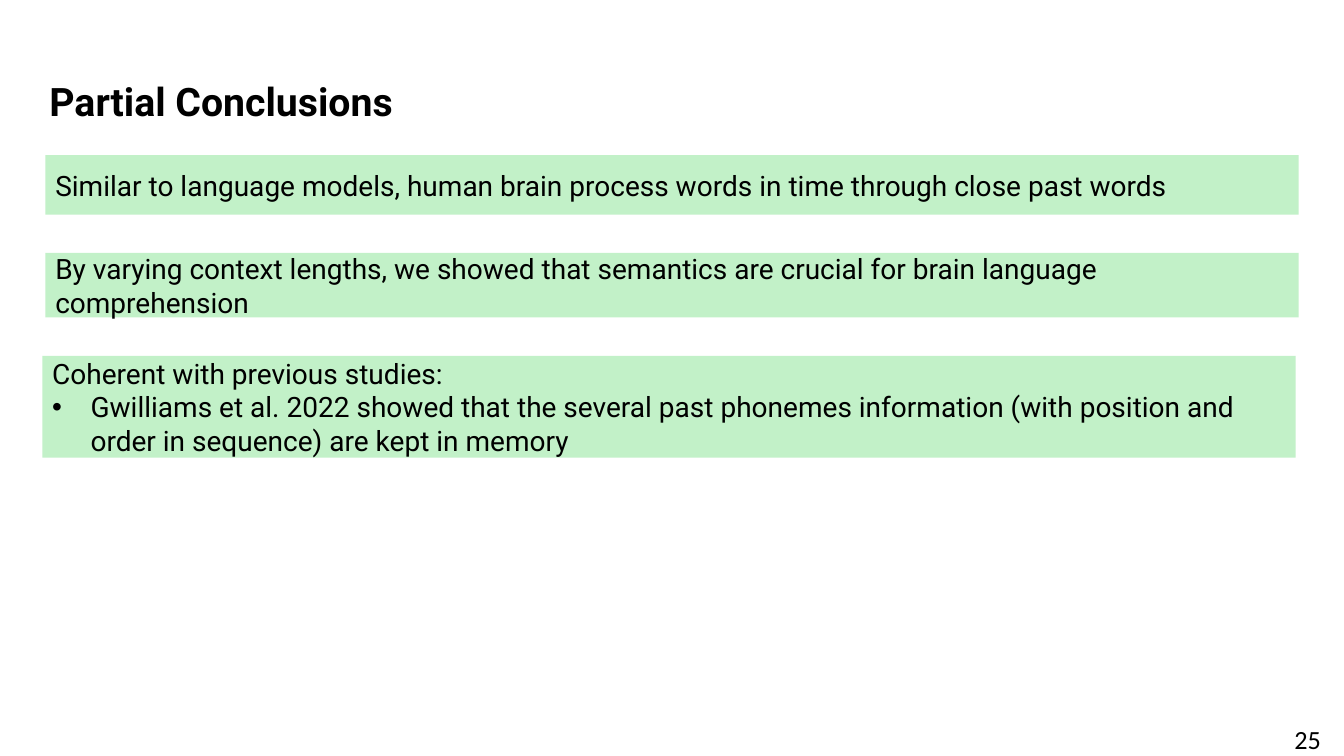
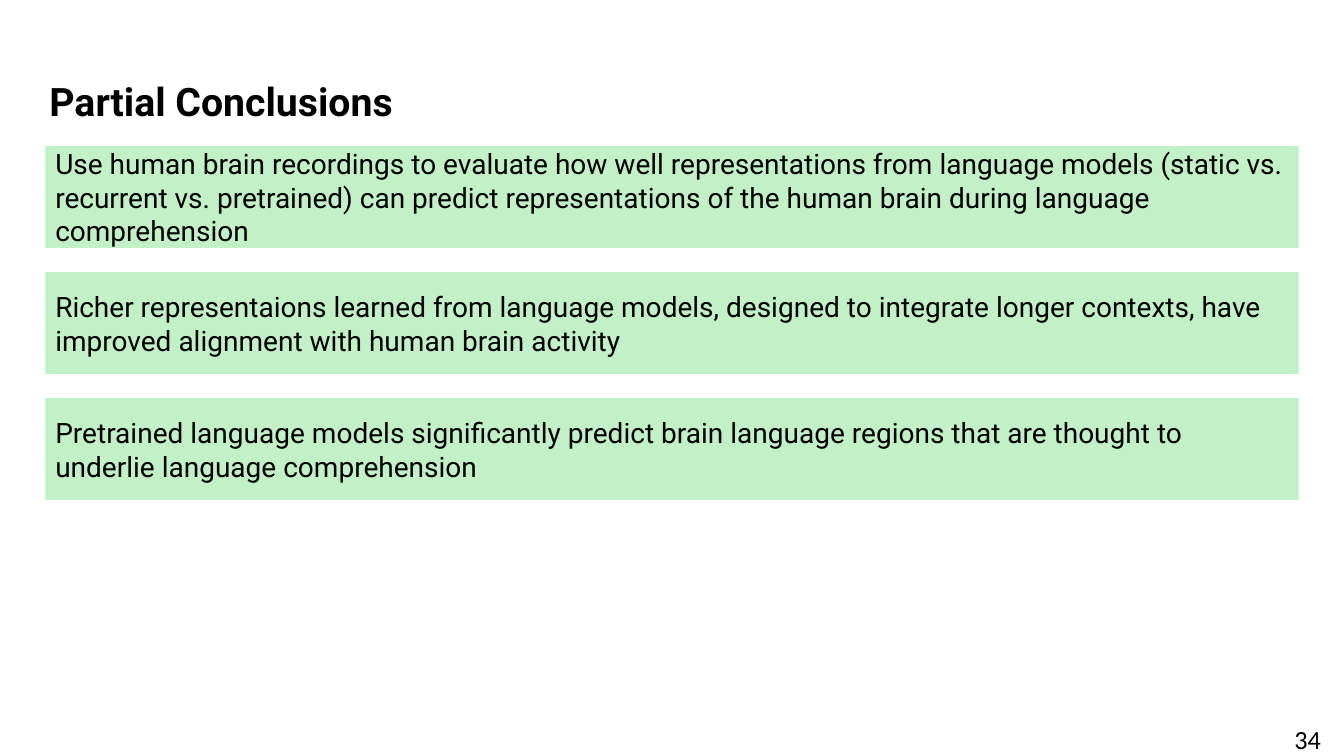
from dataclasses import dataclass

from lxml import etree
from pptx import Presentation
from pptx.dml.color import RGBColor
from pptx.enum.shapes import MSO_SHAPE
from pptx.enum.text import MSO_ANCHOR, MSO_AUTO_SIZE, PP_ALIGN
from pptx.oxml.ns import qn
from pptx.util import Emu, Pt

RECTANGLE = MSO_SHAPE.RECTANGLE
TOP, MIDDLE = MSO_ANCHOR.TOP, MSO_ANCHOR.MIDDLE
LEFT, RIGHT = PP_ALIGN.LEFT, PP_ALIGN.RIGHT
NO_AUTO_SIZE = MSO_AUTO_SIZE.NONE

BLACK = RGBColor(0x00, 0x00, 0x00)
WHITE = RGBColor(0xFF, 0xFF, 0xFF)
PALE_GREEN = RGBColor(0xC2, 0xF1, 0xC8)

EMU_PER_PX = 9144
SLIDE_WIDTH, SLIDE_HEIGHT = 1333, 750
BAND_LEFT, BAND_WIDTH = 45, 1243
TALL_BAND = 101
BULLET_INDENT = 38
TITLE_ONLY_LAYOUT = 5


@dataclass(frozen=True)
class Band:
    top: int
    height: int
    text: str
    bullets: tuple[str, ...] = ()
    left: int = BAND_LEFT


@dataclass(frozen=True)
class Conclusions:
    page: int
    bands: tuple[Band, ...]


def px(length: int) -> Emu:
    return Emu(length * EMU_PER_PX)


def place(shape, left: int, top: int, width: int, height: int) -> None:
    shape.left, shape.top = px(left), px(top)
    shape.width, shape.height = px(width), px(height)


def add_bullet(paragraph) -> None:
    properties = paragraph._p.get_or_add_pPr()
    properties.set("marL", str(px(BULLET_INDENT)))
    properties.set("indent", str(-px(BULLET_INDENT)))
    color = etree.SubElement(properties, qn("a:buClr"))
    etree.SubElement(color, qn("a:srgbClr"), val=str(BLACK))
    etree.SubElement(properties, qn("a:buFont"), typeface="Arial")
    etree.SubElement(properties, qn("a:buChar"), char="•")


def write(shape, text: str, *, bullets: tuple[str, ...] = (), size: float = 20,
          font: str = "Roboto", bold: bool = False, align: PP_ALIGN = LEFT,
          anchor: MSO_ANCHOR = MIDDLE, line_spacing: float = 1.0,
          inset_x: int = 10, inset_y: int = 5) -> None:
    frame = shape.text_frame
    frame.word_wrap = True
    frame.auto_size = NO_AUTO_SIZE
    frame.vertical_anchor = anchor
    frame.margin_left = frame.margin_right = px(inset_x)
    frame.margin_top = frame.margin_bottom = px(inset_y)
    for index, line in enumerate((text, *bullets)):
        paragraph = frame.add_paragraph() if index else frame.paragraphs[0]
        paragraph.alignment = align
        paragraph.line_spacing = line_spacing
        if index:
            add_bullet(paragraph)
        run = paragraph.add_run()
        run.text = line
        run.font.name = font
        run.font.size = Pt(size)
        run.font.bold = bold
        run.font.color.rgb = BLACK


def add_band(slide, band: Band) -> None:
    shape = slide.shapes.add_shape(RECTANGLE, 0, 0, 0, 0)
    place(shape, band.left, band.top, BAND_WIDTH, band.height)
    shape.shadow.inherit = False
    shape.fill.solid()
    shape.fill.fore_color.rgb = PALE_GREEN
    shape.line.fill.background()
    write(shape, band.text, bullets=band.bullets)


def add_conclusions(presentation, content: Conclusions) -> None:
    slide = presentation.slides.add_slide(presentation.slide_layouts[TITLE_ONLY_LAYOUT])
    slide.background.fill.solid()
    slide.background.fill.fore_color.rgb = WHITE

    title = slide.shapes.title
    place(title, 42, 56, 1333, 81)
    write(title, "Partial Conclusions", size=28, bold=True, line_spacing=1.15,
          inset_x=7, inset_y=4)

    page_number = slide.shapes.add_textbox(0, 0, 0, 0)
    place(page_number, 942, 714, 375, 40)
    write(page_number, str(content.page), size=18.7, font="Calibri", align=RIGHT,
          anchor=TOP, inset_x=7, inset_y=4)

    for band in content.bands:
        add_band(slide, band)


EVEN_TEXTS = (
    "Use human brain recordings to evaluate how well representations from language models "
    "(static vs. recurrent vs. pretrained) can predict representations of the human brain "
    "during language comprehension",
    "Richer representaions learned from language models, designed to integrate longer "
    "contexts, have improved alignment with human brain activity",
    "Pretrained language models significantly predict brain language regions that are "
    "thought to underlie language comprehension",
)
EVEN_TOP, EVEN_PITCH = 145, 125

SLIDES = (
    Conclusions(25, (
        Band(154, 59, "Similar to language models, human brain process words in time "
                      "through close past words"),
        Band(251, 64, "By varying context lengths, we showed that semantics are crucial "
                      "for brain language comprehension"),
        Band(353, TALL_BAND, "Coherent with previous studies:",
             ("Gwilliams et al. 2022 showed that the several past phonemes information "
              "(with position and order in sequence) are kept in memory",), left=42),
    )),
    Conclusions(34, tuple(
        Band(EVEN_TOP + index * EVEN_PITCH, TALL_BAND, text)
        for index, text in enumerate(EVEN_TEXTS)
    )),
)


def main() -> None:
    presentation = Presentation()
    presentation.slide_width = px(SLIDE_WIDTH)
    presentation.slide_height = px(SLIDE_HEIGHT)
    for content in SLIDES:
        add_conclusions(presentation, content)
    presentation.save("out.pptx")


if __name__ == "__main__":
    main()
